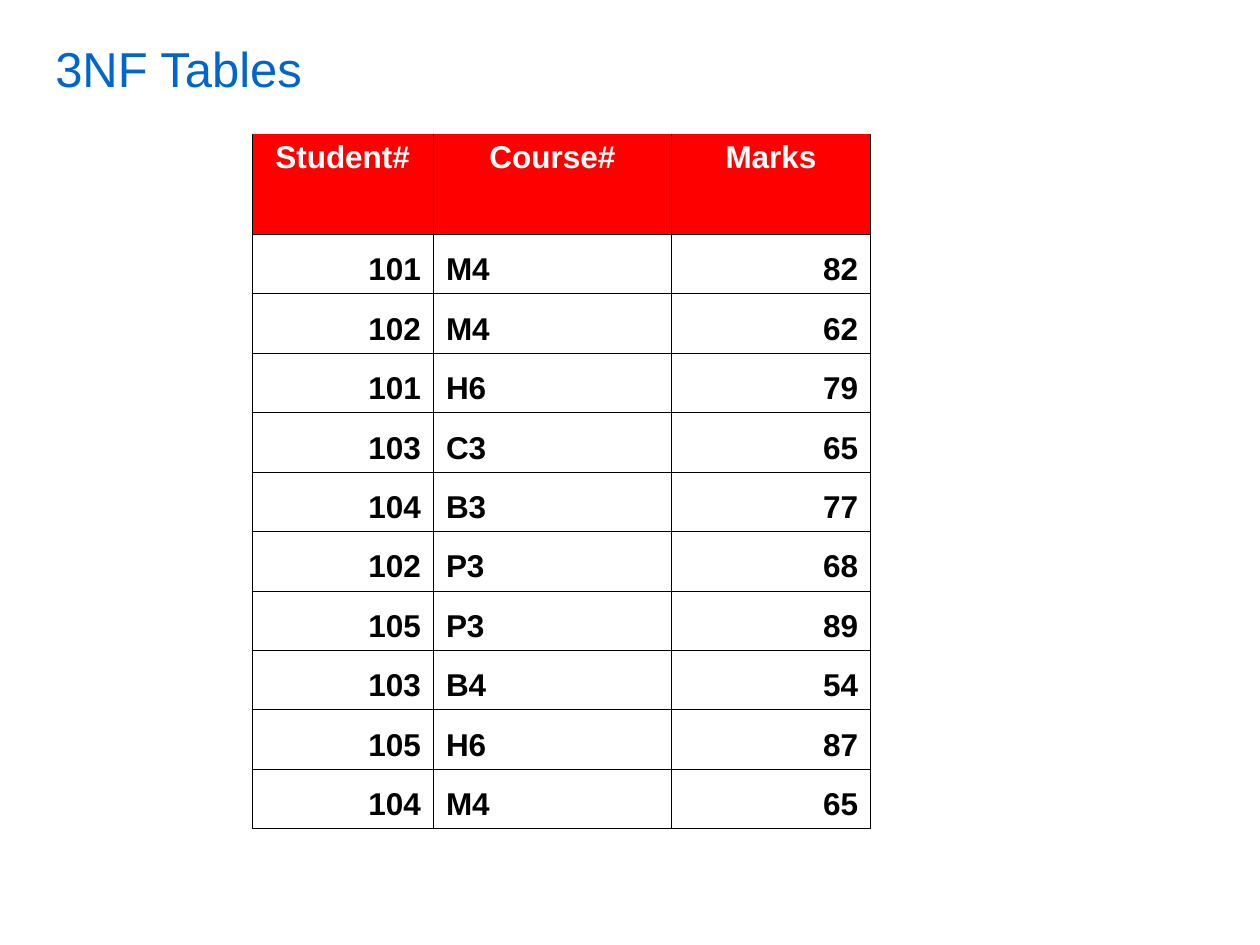
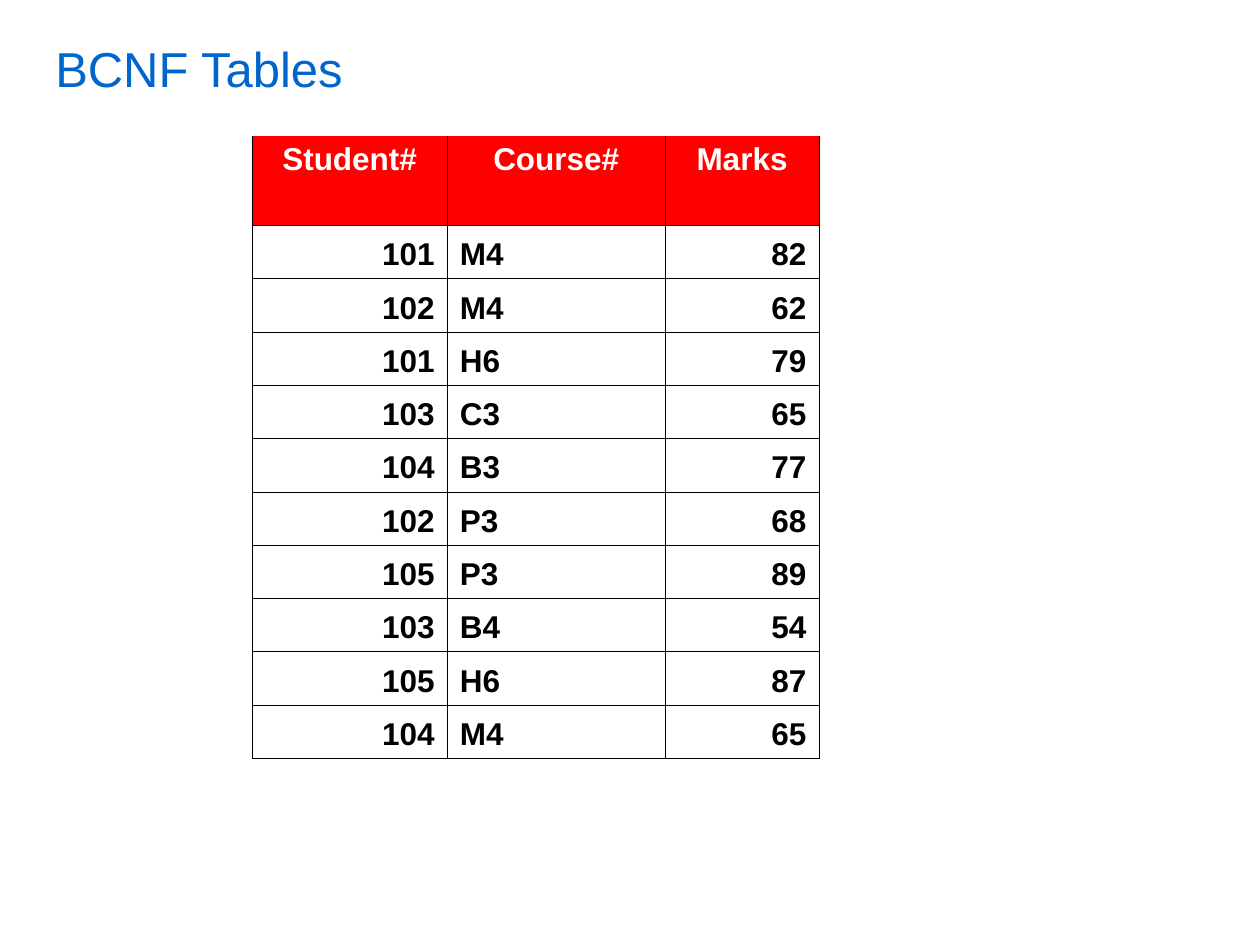
from pptx import Presentation
from pptx.dml.color import RGBColor
from pptx.enum.text import MSO_ANCHOR, PP_ALIGN
from pptx.oxml.ns import qn
from pptx.oxml.xmlchemy import OxmlElement
from pptx.util import Inches, Pt

BLUE = RGBColor(0x00, 0x66, 0xCC)
RED = RGBColor(0xFF, 0x00, 0x00)
BLACK = RGBColor(0x00, 0x00, 0x00)
WHITE = RGBColor(0xFF, 0xFF, 0xFF)

PLAIN_TABLE_STYLE = "{2D5ABB26-0587-4C30-8999-92F81FD0307C}"
HEADINGS = ("Student#", "Course#", "Marks")
MARKS = (
    ("101", "M4", "82"),
    ("102", "M4", "62"),
    ("101", "H6", "79"),
    ("103", "C3", "65"),
    ("104", "B3", "77"),
    ("102", "P3", "68"),
    ("105", "P3", "89"),
    ("103", "B4", "54"),
    ("105", "H6", "87"),
    ("104", "M4", "65"),
)
COLUMN_ALIGNS = (PP_ALIGN.RIGHT, PP_ALIGN.LEFT, PP_ALIGN.RIGHT)


def write(frame, text, size=18, color=BLACK, bold=False, align=PP_ALIGN.LEFT):
    para = frame.paragraphs[0]
    para.alignment = align
    span = para.add_run()
    span.text = text
    span.font.name = "Arial"
    span.font.size = Pt(size)
    span.font.bold = bold
    span.font.color.rgb = color


class SlideBuilder:
    def __init__(self, deck):
        self.deck = deck
        self.page = None

    def start(self, title):
        self.page = self.deck.slides.add_slide(self.deck.slide_layouts[6])
        box = self.page.shapes.add_textbox(Inches(0.34), Inches(0.26), Inches(9.38), Inches(0.56))
        frame = box.text_frame
        frame.word_wrap = True
        frame.vertical_anchor = MSO_ANCHOR.MIDDLE
        write(frame, title, size=28, color=BLUE)

    def border(self, cell, sides):
        properties = cell._tc.get_or_add_tcPr()
        for side in sides:
            line = OxmlElement(f"a:ln{side}")
            line.set("w", str(Pt(0.45)))
            fill = OxmlElement("a:solidFill")
            color = OxmlElement("a:srgbClr")
            color.set("val", str(BLACK))
            fill.append(color)
            line.append(fill)
            properties.append(line)

    def heading_cell(self, cell, text):
        self.border(cell, "LRB")
        cell.fill.solid()
        cell.fill.fore_color.rgb = RED
        write(cell.text_frame, text, color=WHITE, bold=True, align=PP_ALIGN.CENTER)

    def body_cell(self, cell, text, align):
        self.border(cell, "LRTB")
        cell.fill.background()
        cell.vertical_anchor = MSO_ANCHOR.BOTTOM
        write(cell.text_frame, text, bold=True, align=align)

    def marks_table(self, top, height, heading_height, widths):
        holder = self.page.shapes.add_table(
            len(MARKS) + 1, len(HEADINGS), Inches(2), Inches(top), Inches(sum(widths)), Inches(height)
        )
        table = holder.table
        table.first_row = False
        table.horz_banding = False
        table._tbl.tblPr.find(qn("a:tableStyleId")).text = PLAIN_TABLE_STYLE
        for column, width in zip(table.columns, widths):
            column.width = Inches(width)
        for row in table.rows:
            row.height = Inches((height - heading_height) / len(MARKS))
        table.rows[0].height = Inches(heading_height)

        for column, text in enumerate(HEADINGS):
            self.heading_cell(table.cell(0, column), text)
        for row, record in enumerate(MARKS, start=1):
            for column, (text, align) in enumerate(zip(record, COLUMN_ALIGNS)):
                self.body_cell(table.cell(row, column), text, align)


def main():
    deck = Presentation()
    deck.slide_width = Inches(10)
    deck.slide_height = Inches(7.5)
    builder = SlideBuilder(deck)

    builder.start("3NF Tables")
    builder.marks_table(top=1.06, height=5.52, heading_height=0.8, widths=(1.44, 1.89, 1.58))

    builder.start("BCNF Tables")
    builder.marks_table(top=1.08, height=4.94, heading_height=0.71, widths=(1.55, 1.73, 1.22))

    deck.save("out.pptx")


if __name__ == "__main__":
    main()
